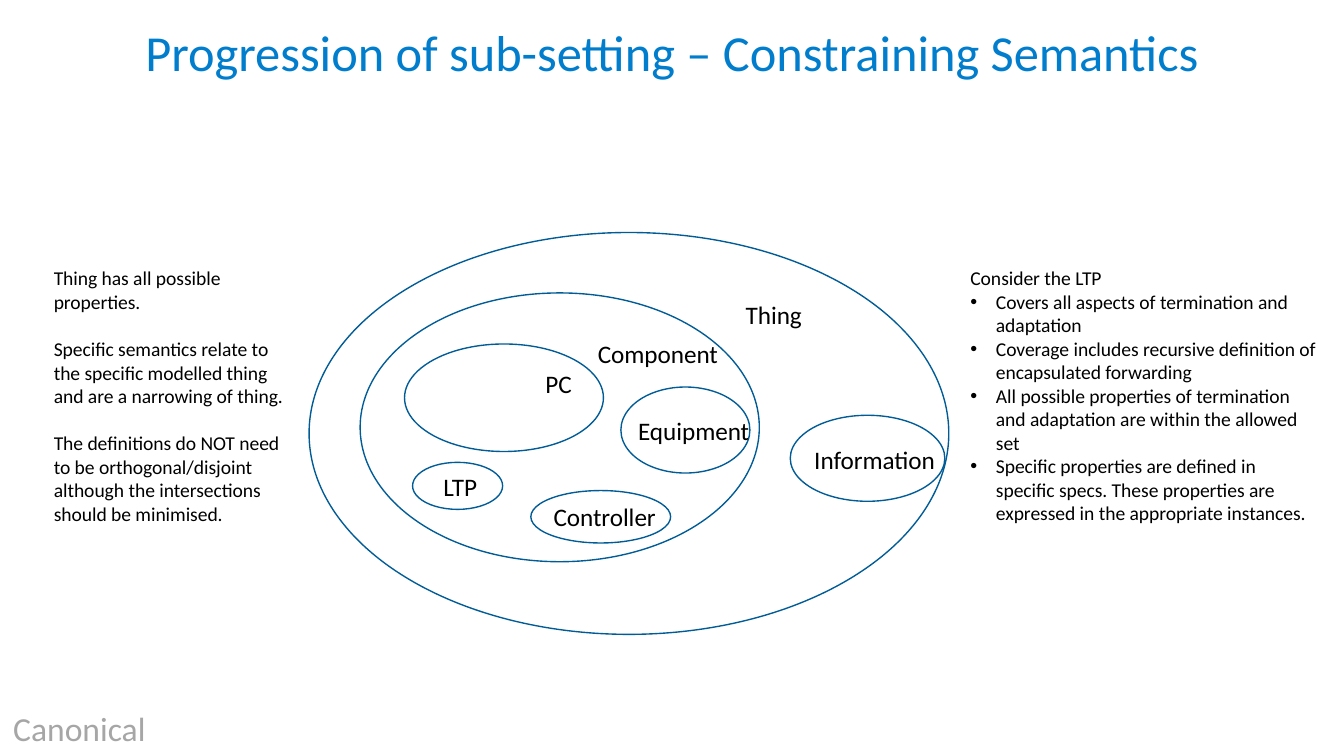
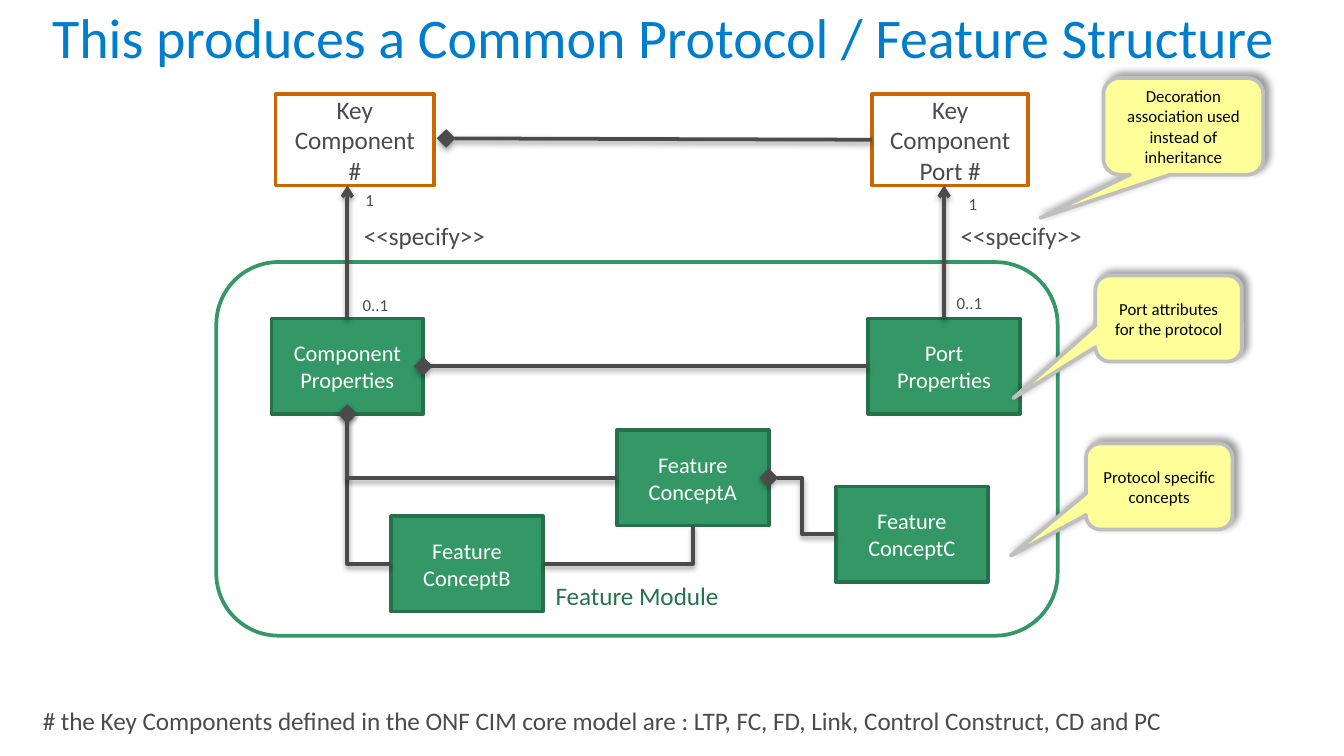
from lxml import etree
from pptx import Presentation
from pptx.dml.color import RGBColor
from pptx.enum.shapes import MSO_CONNECTOR, MSO_SHAPE
from pptx.enum.text import MSO_ANCHOR, MSO_AUTO_SIZE, PP_ALIGN
from pptx.oxml.ns import qn
from pptx.util import Inches, Pt

STRAIGHT, ELBOW = MSO_CONNECTOR.STRAIGHT, MSO_CONNECTOR.ELBOW
RECT, ROUNDED, OVAL = MSO_SHAPE.RECTANGLE, MSO_SHAPE.ROUNDED_RECTANGLE, MSO_SHAPE.OVAL
CALLOUT = MSO_SHAPE.ROUNDED_RECTANGULAR_CALLOUT
MIDDLE, BOTTOM_ANCHOR = MSO_ANCHOR.MIDDLE, MSO_ANCHOR.BOTTOM
CENTER, ALIGN_LEFT = PP_ALIGN.CENTER, PP_ALIGN.LEFT
TOP, LEFT, BOTTOM, RIGHT = range(4)  # connection sites

FONT = "Calibri"
TITLE_BLUE = RGBColor(0x00, 0x7D, 0xCC)
OVAL_BLUE = RGBColor(0x00, 0x5C, 0x97)
BLACK = RGBColor(0x00, 0x00, 0x00)
WHITE = RGBColor(0xFF, 0xFF, 0xFF)
GREY = RGBColor(0x4B, 0x4B, 0x4B)
PALE_GREY = RGBColor(0xA6, 0xA6, 0xA6)
ORANGE = RGBColor(0xCC, 0x66, 0x00)
GREEN = RGBColor(0x33, 0x98, 0x66)
DARK_GREEN = RGBColor(0x26, 0x70, 0x4B)
MODULE_GREEN = RGBColor(0x26, 0x72, 0x4D)
YELLOW = RGBColor(0xFF, 0xFF, 0x99)
SILVER = RGBColor(0xBF, 0xBF, 0xBF)

# Shadow: opacity %, blur pt, distance pt, direction in degrees
LINE_SHADOW = (38, 3.1, 1.6, 90)
CALLOUT_SHADOW = (40, 4, 3, 315)
# Line ends: type and size
DIAMOND, ARROW = ("diamond", "lg"), ("arrow", "med")

# Slide 1 content
SETS_TITLE = "Progression of sub-setting – Constraining Semantics"
SETS = [  # left, top, width, height
    (2.3, 1.73, 4.76, 2.99),   # Thing
    (2.68, 2.18, 2.97, 2),     # Component
    (3.01, 2.56, 1.48, 0.8),   # PC
    (3.95, 3.65, 1.04, 0.39),  # Controller
    (4.62, 2.88, 0.96, 0.64),  # Equipment
    (5.88, 3.09, 1.15, 0.64),  # Information
    (3.07, 3.44, 0.67, 0.35),  # LTP
]
SET_LABELS = [
    ("Thing", 5.45, 2.18, 0.63), ("Component", 4.35, 2.47, 1.11),
    ("PC", 3.96, 2.69, 0.4), ("Controller", 4.02, 3.68, 0.98),
    ("Equipment", 4.65, 3.04, 1.04), ("Information", 5.96, 3.26, 1.12),
    ("LTP", 3.2, 3.46, 0.46),
]
THING_NOTES = [
    "Thing has all possible properties.",
    "Specific semantics relate to the specific modelled thing and are a narrowing of thing.",
    "The definitions do NOT need to be orthogonal/disjoint although the intersections "
    "should be minimised.",
]
LTP_HEADING = "Consider the LTP"
LTP_POINTS = [
    "Covers all aspects of termination and adaptation",
    "Coverage includes recursive definition of encapsulated forwarding",
    "All possible properties of termination and adaptation are within the allowed set",
    "Specific properties are defined in specific specs. These properties are expressed "
    "in the appropriate instances.",
]

# Slide 2 content
STRUCTURE_TITLE = "This produces a Common Protocol / Feature Structure"
KEY_NOTE = ("# the Key Components defined in the ONF CIM core model are : "
            "LTP, FC, FD, Link, Control Construct, CD and PC")
KEY_BOXES = [("Key Component #", 2.05, 1.18), ("Key Component Port #", 6.49, 1.16)]
FEATURE_BOXES = {
    "component": ("Component Properties", 2.02, 2.37),
    "port": ("Port\vProperties", 6.46, 2.37),
    "a": ("Feature\vConceptA", 4.59, 3.2),
    "b": ("Feature\vConceptB", 2.91, 3.84),
    "c": ("Feature\vConceptC", 6.22, 3.62),
}
FEATURE_SIZE = (1.13, 0.71)
KEY_TOP, KEY_HEIGHT = 0.7, 0.68
CORNERS = [  # from box, side, to box, side, single corner, head, tail
    ("b", LEFT, "component", BOTTOM, True, None, DIAMOND),
    ("a", LEFT, "component", BOTTOM, True, None, DIAMOND),
    ("b", RIGHT, "a", BOTTOM, True, None, None),
    ("a", RIGHT, "c", LEFT, False, DIAMOND, None),
]
LINK_LABELS = [  # text, left, top, width, height, size
    ("<<specify>>", 2.61, 1.59, 1.12, 0.33, 13.5),
    ("<<specify>>", 7.05, 1.59, 1.12, 0.33, 13.5),
    ("1", 2.62, 1.36, 0.27, 0.25, 9), ("1", 7.11, 1.39, 0.27, 0.25, 9),
    ("0..1", 2.6, 2.14, 0.39, 0.25, 9), ("0..1", 7.02, 2.13, 0.39, 0.25, 9),
]
CALLOUTS = [  # text, place, pointer
    ("Port attributes for the protocol", (8.15, 2.05, 1.09, 0.64), (-1.06, 0.925)),
    ("Protocol specific concepts", (8.08, 3.3, 1.09, 0.64), (-1.013, 0.805)),
    ("Decoration association used instead of inheritance",
     (8.21, 0.58, 1.19, 0.72), (-0.895, 0.946)),
]


def inches(*lengths):
    return [Inches(length) for length in lengths]


def set_font(paragraph, size, color):
    font = paragraph.font
    font.name, font.size = FONT, Pt(size)
    font.color.rgb = color


def move(shape, place):
    shape.left, shape.top, shape.width, shape.height = inches(*place)


def add_title(slide, text, place, size):
    title = slide.shapes.title
    move(title, place)
    frame = title.text_frame
    frame.text = text
    frame.auto_size = MSO_AUTO_SIZE.NONE
    frame.vertical_anchor = MIDDLE
    paragraph = frame.paragraphs[0]
    paragraph.alignment, paragraph.line_spacing = CENTER, Pt(34)
    set_font(paragraph, size, TITLE_BLUE)


def add_label(slide, text, place, size, color):
    frame = slide.shapes.add_textbox(*inches(*place)).text_frame
    frame.text = text
    frame.word_wrap = False
    frame.auto_size = MSO_AUTO_SIZE.SHAPE_TO_FIT_TEXT
    set_font(frame.paragraphs[0], size, color)


def fill_notes(body, place, notes, gap=0):
    """Fill a body placeholder from (text, bulleted) pairs."""
    move(body, place)
    frame = body.text_frame
    frame.text = "\n".join(text for text, _ in notes)
    frame.auto_size = MSO_AUTO_SIZE.NONE
    for paragraph, (_, bulleted) in zip(frame.paragraphs, notes):
        paragraph.alignment = ALIGN_LEFT
        paragraph.space_before, paragraph.space_after = Pt(0), Pt(gap)
        set_font(paragraph, 10.5, BLACK)
        props = paragraph._p.get_or_add_pPr()
        indent = Inches(0.19) if bulleted else 0
        props.set("marL", str(indent))
        props.set("indent", str(-indent))
        bullet = etree.Element(qn("a:buChar" if bulleted else "a:buNone"))
        if bulleted:
            bullet.set("char", "•")
        props.insert_element_before(bullet, "a:tabLst", "a:defRPr", "a:extLst")


def add_shadow(shape, opacity, blur, distance, direction):
    props = shape._element.spPr
    effects = props.find(qn("a:effectLst"))
    if effects is None:
        effects = etree.SubElement(props, qn("a:effectLst"))
    outer = etree.SubElement(effects, qn("a:outerShdw"), blurRad=str(Pt(blur)),
                             dist=str(Pt(distance)), dir=str(direction * 60000),
                             rotWithShape="0")
    color = etree.SubElement(outer, qn("a:srgbClr"), val="000000")
    etree.SubElement(color, qn("a:alpha"), val=str(opacity * 1000))


def add_box(slide, kind, place, fill, line, width=2, text="", size=12,
            color=WHITE, anchor=MIDDLE):
    box = slide.shapes.add_shape(kind, *inches(*place))
    box.shadow.inherit = False
    if fill is None:
        box.fill.background()
    else:
        box.fill.solid()
        box.fill.fore_color.rgb = fill
    box.line.color.rgb, box.line.width = line, Pt(width)
    if text:
        frame = box.text_frame
        frame.text = text
        frame.word_wrap, frame.vertical_anchor = True, anchor
        frame.paragraphs[0].alignment = CENTER
        set_font(frame.paragraphs[0], size, color)
    return box


def add_link(slide, kind, start=None, end=None, begin_at=(0, 0), end_at=(0, 0),
             head=None, tail=None):
    """Join (box, side) pairs, or use points for free ends."""
    link = slide.shapes.add_connector(kind, *inches(*begin_at, *end_at))
    if start:
        link.begin_connect(*start)
    if end:
        link.end_connect(*end)
    link.line.color.rgb, link.line.width = GREY, Pt(2)
    line = link.line._get_or_add_ln()
    for tag, marker in (("a:headEnd", head), ("a:tailEnd", tail)):
        if marker:
            shape, size = marker
            etree.SubElement(line, qn(tag), type=shape, w=size, len=size)
    add_shadow(link, *LINE_SHADOW)
    return link


def build_sets(prs):
    slide = prs.slides.add_slide(prs.slide_layouts[3])  # title and two bodies
    add_title(slide, SETS_TITLE, (0.5, 0.08, 9, 0.58), 27)
    for place in SETS:
        add_box(slide, OVAL, place, None, OVAL_BLUE, 0.75)
    for text, left, top, width in SET_LABELS:
        add_label(slide, text, (left, top, width, 0.33), 13.5, BLACK)

    # Notes on both sides
    thing_body, ltp_body = slide.placeholders[1], slide.placeholders[2]
    fill_notes(thing_body, (0.3, 1.93, 1.93, 2.22),
               [(note, False) for note in THING_NOTES], gap=12.8)
    fill_notes(ltp_body, (7.12, 1.93, 2.79, 2.4),
               [(LTP_HEADING, False)] + [(point, True) for point in LTP_POINTS])
    add_label(slide, "Canonical", (0, 5.22, 1.2, 0.4), 18, PALE_GREY)


def build_structure(prs):
    slide = prs.slides.add_slide(prs.slide_layouts[5])  # title only
    add_title(slide, STRUCTURE_TITLE, (0.24, -0.01, 9.39, 0.58), 30)
    add_label(slide, KEY_NOTE, (0.22, 5.2, 8.63, 0.33), 13.5, GREY)

    # Boxes
    _, key_port = [
        add_box(slide, RECT, (left, KEY_TOP, width, KEY_HEIGHT), WHITE, ORANGE,
                text=text, size=13.5, color=GREY)
        for text, left, width in KEY_BOXES]
    add_box(slide, ROUNDED, (1.61, 1.95, 6.26, 2.78), WHITE, GREEN,
            text="Feature Module", size=13.5, color=MODULE_GREEN, anchor=BOTTOM_ANCHOR)
    boxes = {
        name: add_box(slide, RECT, (left, top, *FEATURE_SIZE), GREEN, DARK_GREEN, text=text)
        for name, (text, left, top) in FEATURE_BOXES.items()}

    # Specify arrows rise straight from the properties boxes
    for name in ("component", "port"):
        _, left, top = FEATURE_BOXES[name]
        middle = left + FEATURE_SIZE[0] / 2
        add_link(slide, STRAIGHT, start=(boxes[name], TOP), begin_at=(middle, top),
                 end_at=(middle, KEY_TOP + KEY_HEIGHT), tail=ARROW)

    # Compositions
    add_link(slide, STRAIGHT, (boxes["component"], RIGHT), (boxes["port"], LEFT),
             head=DIAMOND)
    add_link(slide, STRAIGHT, end=(key_port, LEFT), begin_at=(3.32, 1.03),
             head=DIAMOND)
    for first, side, second, far_side, single, head, tail in CORNERS:
        link = add_link(slide, ELBOW, (boxes[first], side), (boxes[second], far_side),
                        head=head, tail=tail)
        if single:
            link._element.spPr.find(qn("a:prstGeom")).set("prst", "bentConnector2")

    # Labels and callouts
    for text, *place, size in LINK_LABELS:
        add_label(slide, text, place, size, GREY)
    for text, place, pointer in CALLOUTS:
        callout = add_box(slide, CALLOUT, place, YELLOW, SILVER, text=text, size=9,
                          color=BLACK)
        callout.adjustments[0], callout.adjustments[1] = pointer
        frame = callout.text_frame
        frame.margin_left = frame.margin_right = Inches(0.08)
        add_shadow(callout, *CALLOUT_SHADOW)


def main():
    prs = Presentation()
    prs.slide_width = Inches(10)
    prs.slide_height = Inches(10) * 9 // 16  # widescreen
    build_sets(prs)
    build_structure(prs)
    prs.save("out.pptx")


if __name__ == "__main__":
    main()
